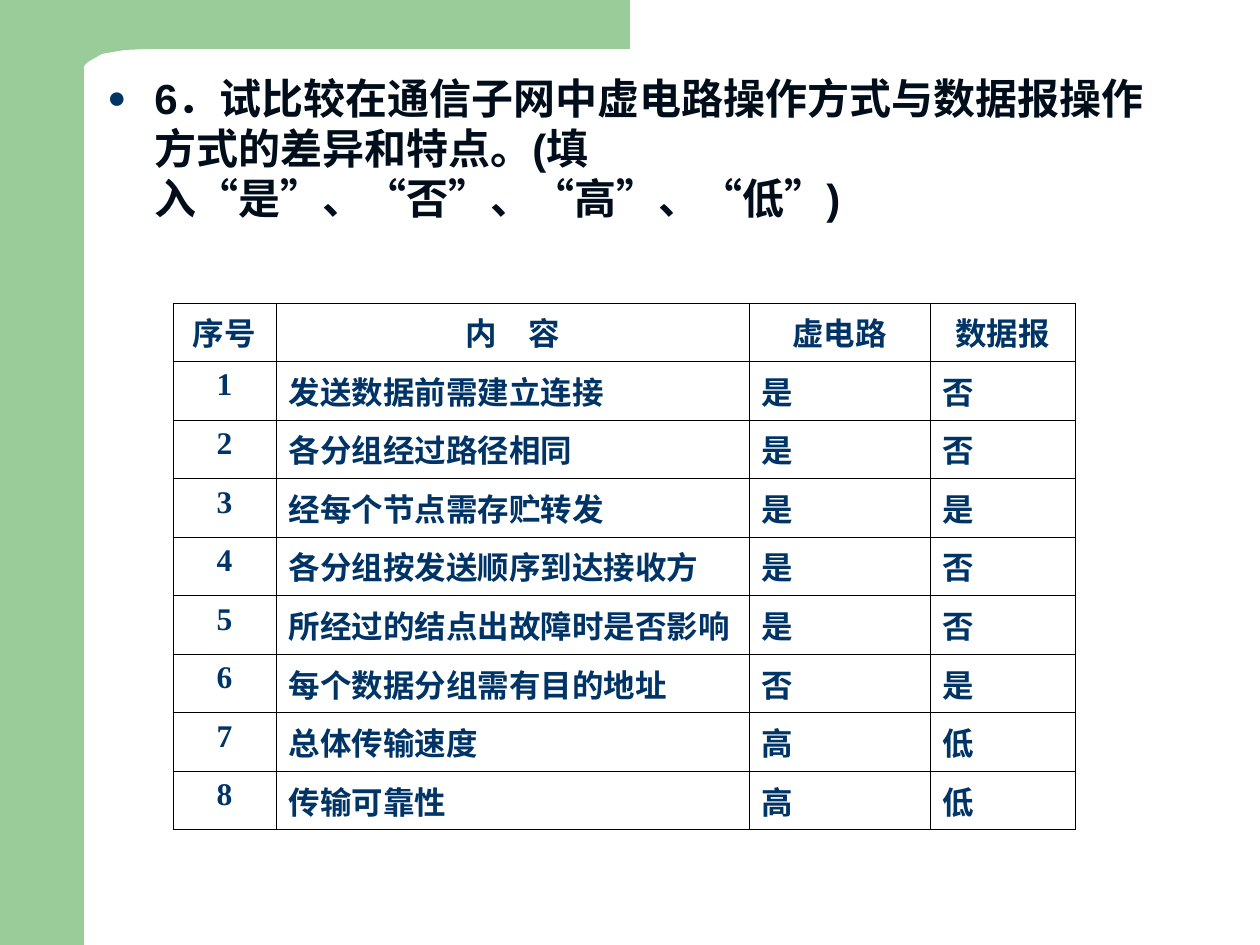
from dataclasses import dataclass

from lxml.etree import SubElement
from pptx import Presentation
from pptx.dml.color import RGBColor
from pptx.enum.shapes import MSO_SHAPE as Shape
from pptx.enum.text import PP_ALIGN as Align
from pptx.oxml.ns import qn
from pptx.util import Emu, Pt

SCALE = 914400 / 126  # EMU in one px


def px(length):
    return Emu(round(length * SCALE))


@dataclass(frozen=True)
class Theme:
    green: str = "99CC99"
    navy: str = "003366"
    ink: str = "000D1A"
    border: str = "000000"
    question_size: int = 24
    table_size: int = 18
    border_width: float = 0.45
    question_font: str = "Arial"
    table_font: str = "Times New Roman"
    chinese_font: str = "Noto Sans CJK SC"


def add_tag(parent, tag, **attributes):
    return SubElement(parent, qn(tag), attributes)


def write(frame, text, *, font, size, color, align=Align.LEFT):
    """Put one bold paragraph in a text frame; a newline breaks the line."""
    para = frame.paragraphs[0]
    para.alignment = align
    for number, line in enumerate(text.split("\n")):
        if number:
            para.add_line_break()
        span = para.add_run()
        span.text = line
        span.font.name = font
        span.font.size = Pt(size)
        span.font.bold = True
        span.font.color.rgb = RGBColor.from_string(color)
        properties = span._r.get_or_add_rPr()
        properties.set("lang", "zh-CN")
        add_tag(properties, "a:ea", typeface=Theme.chinese_font)
    return para


class Page:
    def __init__(self, deck, theme):
        self.theme = theme
        self.shapes = deck.slides.add_slide(deck.slide_layouts[6]).shapes

    def paint(self, shape):
        shape.shadow.inherit = False
        shape.fill.solid()
        shape.fill.fore_color.rgb = RGBColor.from_string(self.theme.green)
        shape.line.fill.background()

    def bar(self, left, top, width, height):
        self.paint(self.shapes.add_shape(
            Shape.RECTANGLE, px(left), px(top), px(width), px(height)))

    def outline(self, points):
        builder = self.shapes.build_freeform(*points[0], scale=SCALE)
        builder.add_line_segments(points[1:], close=True)
        self.paint(builder.convert_to_shape())

    def question(self, text, left, top, width, height):
        theme = self.theme
        box = self.shapes.add_textbox(px(left), px(top), px(width), px(height))
        box.text_frame.word_wrap = True
        para = write(box.text_frame, text, font=theme.question_font,
                     size=theme.question_size, color=theme.ink)
        # Hanging round bullet
        properties = para._p.get_or_add_pPr()
        properties.set("marL", str(px(47)))
        properties.set("indent", str(-px(47)))
        add_tag(add_tag(properties, "a:buClr"), "a:srgbClr", val=theme.navy)
        add_tag(properties, "a:buSzPct", val="75000")
        add_tag(properties, "a:buFont", typeface=theme.question_font)
        add_tag(properties, "a:buChar", char="●")

    def frame_cell(self, cell):
        properties = cell._tc.get_or_add_tcPr()
        for side in ("a:lnL", "a:lnR", "a:lnT", "a:lnB"):
            line = add_tag(properties, side, w=str(Pt(self.theme.border_width)))
            fill = add_tag(line, "a:solidFill")
            add_tag(fill, "a:srgbClr", val=self.theme.border)
        cell.fill.background()

    def table(self, rows, left, top, widths, height):
        theme = self.theme
        table = self.shapes.add_table(
            len(rows), len(widths), px(left), px(top),
            px(sum(widths)), px(height)).table
        table.first_row = table.horz_banding = False
        for column, width in zip(table.columns, widths):
            column.width = px(width)
        for r, row in enumerate(rows):
            table.rows[r].height = px(height / len(rows))
            for c, text in enumerate(row):
                cell = table.cell(r, c)
                centred = r == 0 or c == 0
                write(cell.text_frame, text, font=theme.table_font,
                      size=theme.table_size, color=theme.navy,
                      align=Align.CENTER if centred else Align.LEFT)
                self.frame_cell(cell)


QUESTION = ("6．试比较在通信子网中虚电路操作方式与数据报操作方式的差异和特点。"
            "(填\n入“是”、“否”、“高”、“低”)")
HEADER = ("序号", "内　容", "虚电路", "数据报")
COMPARISON = [
    ("发送数据前需建立连接", "是", "否"),
    ("各分组经过路径相同", "是", "否"),
    ("经每个节点需存贮转发", "是", "是"),
    ("各分组按发送顺序到达接收方", "是", "否"),
    ("所经过的结点出故障时是否影响", "是", "否"),
    ("每个数据分组需有目的地址", "否", "是"),
    ("总体传输速度", "高", "低"),
    ("传输可靠性", "高", "低"),
]
BANNER = [(630, 0), (630, 49), (150, 49), (125, 50), (113, 52), (102, 54),
          (95, 58), (88, 62), (85, 65), (83, 68), (83, 76), (15, 76), (15, 0)]


def main():
    deck = Presentation()
    deck.slide_width, deck.slide_height = px(1260), px(945)
    page = Page(deck, Theme())

    # Green side bar and top banner
    page.bar(0, 0, 84, 945)
    page.outline(BANNER)

    # Question and comparison table
    page.question(QUESTION, 95, 66, 1071, 248)
    numbered = [(str(n), *row) for n, row in enumerate(COMPARISON, 1)]
    page.table([HEADER, *numbered], 173, 303, (103, 473, 181, 145), 527)

    deck.save("out.pptx")


if __name__ == "__main__":
    main()
